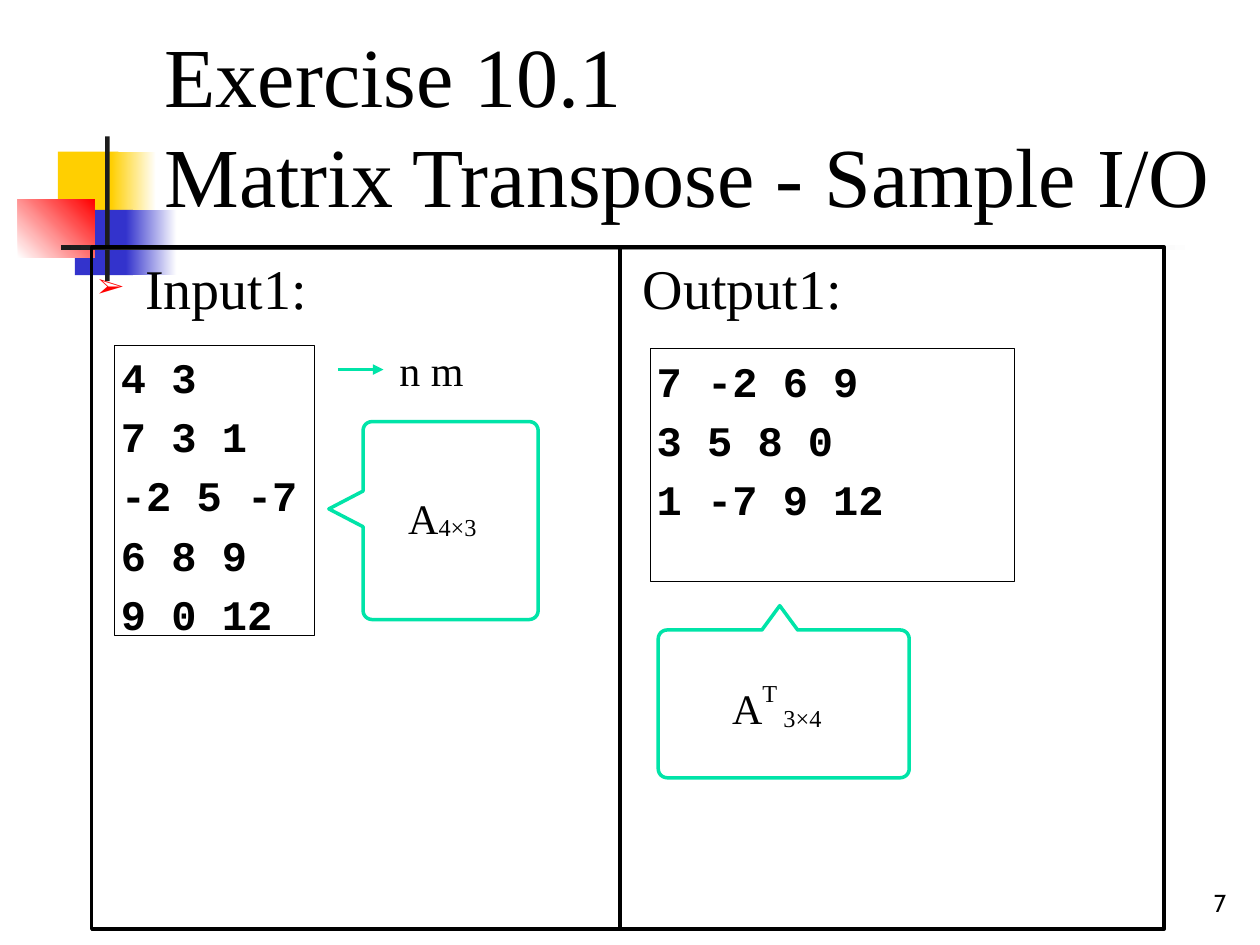
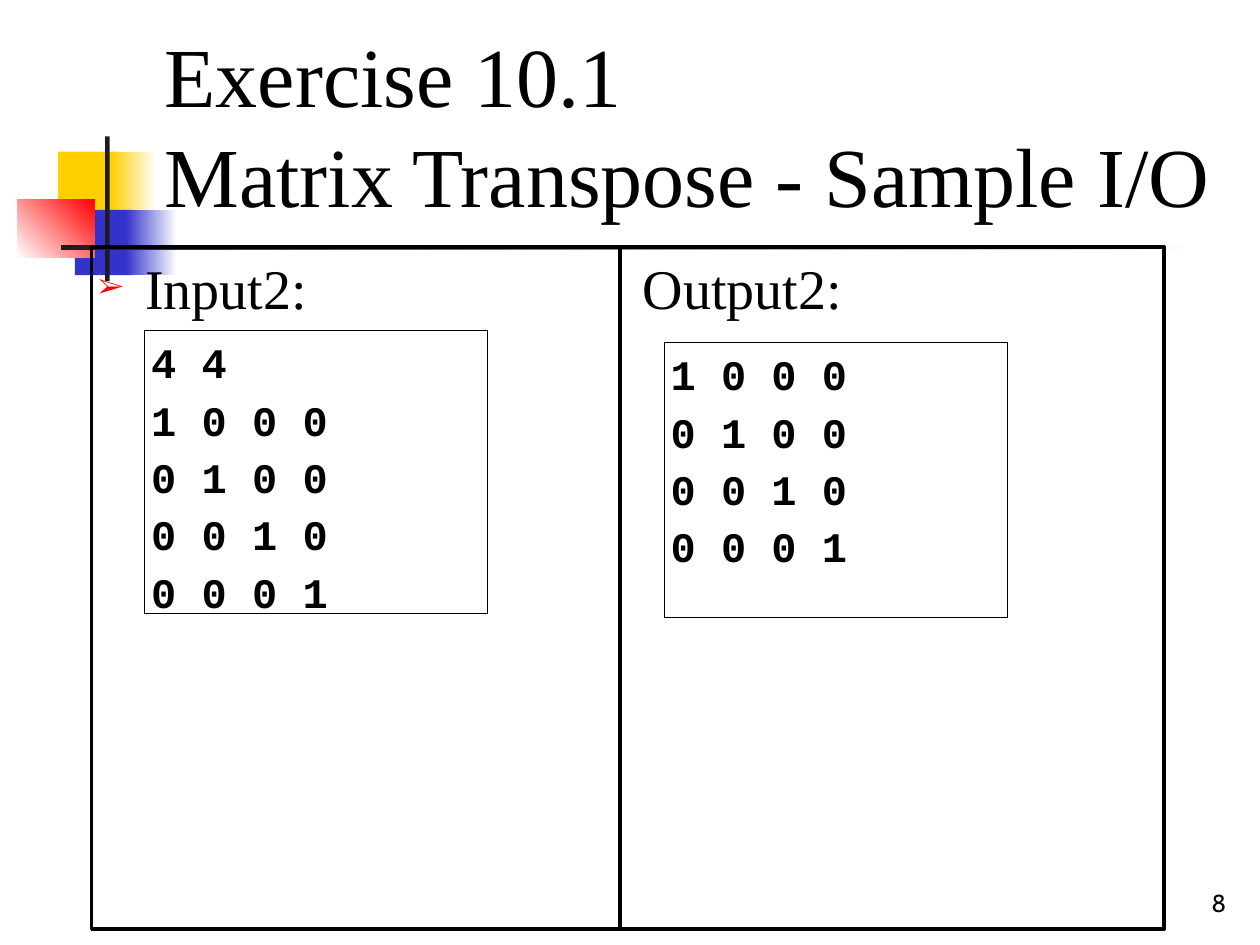
"""Build two slides that show sample input and output for the matrix transpose exercise."""
import math
from dataclasses import dataclass
from typing import NamedTuple, Optional

import lxml.etree
import pptx
import pptx.dml.color
import pptx.enum.shapes
import pptx.enum.text
import pptx.oxml.ns
import pptx.util

Cm = pptx.util.Cm
Pt = pptx.util.Pt
RECTANGLE = pptx.enum.shapes.MSO_SHAPE.RECTANGLE
STRAIGHT = pptx.enum.shapes.MSO_CONNECTOR.STRAIGHT
ALIGN = pptx.enum.text.PP_ALIGN
ANCHOR = pptx.enum.text.MSO_ANCHOR

COLORS = {
    "ink": "000000",
    "paper": "FFFFFF",
    "yellow": "FFCF01",
    "blue": "3333CC",
    "red": "FF0000",
    "charcoal": "1C1C1C",
    "mint": "00E4A8",
}
INSET = 0.13
CORNER_RADIUS = 0.18
CORNER_STEPS = 6
WEDGE_HALF = 0.36


class Box(NamedTuple):
    left: float
    top: float
    width: float
    height: float

    def lengths(self) -> list:
        return [Cm(value) for value in self]


class Style(NamedTuple):
    font: str
    size: float
    bold: bool = False


class Run(NamedTuple):
    text: str
    baseline: int = 0


@dataclass
class Band:
    box: Box
    start: str
    end: Optional[str] = None
    angle: float = 0


@dataclass
class Matrix:
    box: Box
    rows: list[str]


@dataclass
class Label:
    box: Box
    runs: list[Run]


@dataclass
class Callout:
    body: Box
    tip: tuple[float, float]


@dataclass
class Sample:
    exercise: int
    page: int
    row_gap: float
    given: Matrix
    result: Matrix
    callouts: tuple[Callout, ...] = ()
    labels: tuple[Label, ...] = ()
    arrow: Optional[tuple[float, float, float, float]] = None


TITLE = Style("Times New Roman", 48)
HEADING = Style("Times New Roman", 32)
NOTE = Style("Times New Roman", 24)
CODE = Style("Courier New", 24, True)
PAGE = Style("Cabin", 14)

FRAME = Box(1.85, 4.98, 21.62, 13.75)
OUTPUT_HEADING = Box(12.83, 4.98, 8, 1.6)
TITLE_BOX = Box(3.19, 0.6, 21.64, 4.06)
PAGE_BOX = Box(24.29, 17.77, 0.56, 0.86)
DIVIDER = (12.5, 18.74, 12.5, 4.95)
TITLE_LINES = ["Exercise 10.1", "Matrix Transpose - Sample I/O"]

BANDS = [
    Band(Box(1.17, 3.06, 1.22, 1.32), "yellow"),
    Band(Box(2.24, 3.06, 0.91, 1.32), "yellow", "paper"),
    Band(Box(1.51, 4.23, 1.17, 1.32), "blue"),
    Band(Box(2.54, 4.23, 1.02, 1.32), "blue", "paper"),
    Band(Box(0.36, 4.02, 1.55, 1.18), "paper", "red", 45),
    Band(Box(2.12, 2.75, 0.09, 2.92), "charcoal"),
    Band(Box(1.23, 4.94, 22.86, 0.1), "charcoal", "paper"),
]

IDENTITY = ["1 0 0 0", "0 1 0 0", "0 0 1 0", "0 0 0 1"]
SAMPLES = [
    Sample(
        exercise=1,
        page=7,
        row_gap=5,
        given=Matrix(Box(2.31, 6.96, 4.03, 5.85),
                     ["4 3", "7 3 1", "-2 5 -7", "6 8 9", "9 0 12"]),
        result=Matrix(Box(13.11, 7.03, 7.34, 4.69),
                      ["7 -2 6 9", "3 5 8 0", "1 -7 9 12"]),
        callouts=(
            Callout(Box(7.32, 8.5, 3.53, 3.99), (6.63, 10.26)),
            Callout(Box(13.27, 12.7, 5.06, 2.98), (15.72, 12.21)),
        ),
        labels=(
            Label(Box(7.92, 6.82, 1.57, 1.17), [Run("n m")]),
            Label(Box(8.1, 9.79, 1.78, 1.17), [Run("A"), Run("4×3", -6)]),
            Label(Box(14.63, 13.54, 2.26, 1.35),
                  [Run("A"), Run("T", 53), Run(" 3×4", -6)]),
        ),
        arrow=(6.81, 7.45, 7.73, 7.45),
    ),
    Sample(
        exercise=2,
        page=8,
        row_gap=4,
        given=Matrix(Box(2.92, 6.66, 6.91, 5.71), ["4 4", *IDENTITY]),
        result=Matrix(Box(13.39, 6.9, 6.92, 5.55), IDENTITY),
    ),
]


def rgb(color: str) -> pptx.dml.color.RGBColor:
    return pptx.dml.color.RGBColor.from_string(COLORS[color])


def set_outline(shape, color: str, points: float) -> None:
    shape.line.color.rgb = rgb(color)
    shape.line.width = Pt(points)


def write(shape, lines: list[list[Run]], style: Style, before: float = 0,
          wrap: bool = True, align=ALIGN.LEFT, anchor=ANCHOR.TOP) -> None:
    frame = shape.text_frame
    frame.word_wrap = wrap
    frame.vertical_anchor = anchor
    frame.margin_left = frame.margin_right = Cm(INSET)
    frame.margin_top = frame.margin_bottom = Cm(INSET)
    for index, line in enumerate(lines):
        paragraph = frame.add_paragraph() if index else frame.paragraphs[0]
        paragraph.alignment = align
        paragraph.space_before = Pt(before)
        for part in line:
            run = paragraph.add_run()
            run.text = part.text
            run.font.name = style.font
            run.font.size = Pt(style.size)
            run.font.bold = style.bold
            run.font.color.rgb = rgb("ink")
            if part.baseline:
                run.font._element.set("baseline", str(part.baseline * 1000))


def add_bullet(paragraph) -> None:
    properties = paragraph._p.get_or_add_pPr()
    properties.set("marL", str(Cm(0.95)))
    properties.set("indent", str(Cm(-0.95)))
    qn = pptx.oxml.ns.qn
    color = lxml.etree.SubElement(properties, qn("a:buClr"))
    lxml.etree.SubElement(color, qn("a:srgbClr"), val=COLORS["red"])
    lxml.etree.SubElement(properties, qn("a:buSzPct"), val="50000")
    lxml.etree.SubElement(properties, qn("a:buFont"), typeface=HEADING.font)
    lxml.etree.SubElement(properties, qn("a:buChar"), char="➢")


def add_rectangle(slide, box: Box):
    rectangle = slide.shapes.add_shape(RECTANGLE, *box.lengths())
    rectangle.shadow.inherit = False
    return rectangle


def add_band(slide, band: Band) -> None:
    block = add_rectangle(slide, band.box)
    block.line.fill.background()
    if band.end is None:
        block.fill.solid()
        block.fill.fore_color.rgb = rgb(band.start)
        return
    block.fill.gradient()
    block.fill.gradient_angle = band.angle
    for stop, color in zip(block.fill.gradient_stops, (band.start, band.end)):
        stop.color.rgb = rgb(color)


def add_outlined(slide, box: Box, points: float):
    outlined = add_rectangle(slide, box)
    outlined.fill.background()
    set_outline(outlined, "ink", points)
    return outlined


def add_text(slide, box: Box, lines: list[list[Run]], style: Style, **layout) -> None:
    write(slide.shapes.add_textbox(*box.lengths()), lines, style, **layout)


def add_line(slide, ends: tuple[float, float, float, float], color: str,
             arrow: bool = False) -> None:
    line = slide.shapes.add_connector(STRAIGHT, *[Cm(value) for value in ends])
    set_outline(line, color, 2)
    qn = pptx.oxml.ns.qn
    if arrow:
        lxml.etree.SubElement(line.line._get_or_add_ln(), qn("a:tailEnd"), type="triangle")
    lxml.etree.SubElement(line._element.spPr, qn("a:effectLst"))


def callout_points(callout: Callout) -> list[tuple[float, float]]:
    left, top, width, height = callout.body
    tip_x, tip_y = callout.tip
    near_x, far_x = left + CORNER_RADIUS, left + width - CORNER_RADIUS
    near_y, far_y = top + CORNER_RADIUS, top + height - CORNER_RADIUS
    centers = [(near_x, near_y), (far_x, near_y), (far_x, far_y), (near_x, far_y)]
    points = []
    for corner, (x, y) in enumerate(centers):
        for step in range(CORNER_STEPS + 1):
            angle = math.pi + (corner + step / CORNER_STEPS) * math.pi / 2
            points.append((x + CORNER_RADIUS * math.cos(angle),
                           y + CORNER_RADIUS * math.sin(angle)))
        if corner == 0 and tip_y < top:
            points += [(tip_x - WEDGE_HALF, top), callout.tip, (tip_x + WEDGE_HALF, top)]
    if tip_x < left:
        points += [(left, tip_y + WEDGE_HALF), callout.tip, (left, tip_y - WEDGE_HALF)]
    return points


def add_callout(slide, callout: Callout) -> None:
    first, *rest = [(Cm(x), Cm(y)) for x, y in callout_points(callout)]
    builder = slide.shapes.build_freeform(*first)
    builder.add_line_segments(rest, close=True)
    bubble = builder.convert_to_shape()
    bubble.shadow.inherit = False
    bubble.fill.solid()
    bubble.fill.fore_color.rgb = rgb("paper")
    set_outline(bubble, "mint", 2)


def add_matrix(slide, matrix: Matrix, row_gap: float) -> None:
    panel = add_outlined(slide, matrix.box, 0.75)
    write(panel, [[Run(row)] for row in matrix.rows], CODE, before=row_gap)


def add_base(slide, sample: Sample) -> None:
    for band in BANDS:
        add_band(slide, band)
    frame = add_outlined(slide, FRAME, 2)
    write(frame, [[Run(f"Input{sample.exercise}:")]], HEADING, before=7)
    add_bullet(frame.text_frame.paragraphs[0])
    add_text(slide, OUTPUT_HEADING, [[Run(f"Output{sample.exercise}:")]], HEADING, before=7)
    add_text(slide, TITLE_BOX, [[Run(line)] for line in TITLE_LINES], TITLE,
             anchor=ANCHOR.BOTTOM)
    add_text(slide, PAGE_BOX, [[Run(str(sample.page))]], PAGE, wrap=False,
             align=ALIGN.RIGHT, anchor=ANCHOR.BOTTOM)
    add_line(slide, DIVIDER, "ink")


def add_sample(slide, sample: Sample) -> None:
    add_base(slide, sample)
    for callout in sample.callouts:
        add_callout(slide, callout)
    for matrix in (sample.given, sample.result):
        add_matrix(slide, matrix, sample.row_gap)
    if sample.arrow:
        add_line(slide, sample.arrow, "mint", arrow=True)
    for label in sample.labels:
        add_text(slide, label.box, [label.runs], NOTE, wrap=False)


def main() -> None:
    deck = pptx.Presentation()
    deck.slide_width, deck.slide_height = Cm(25.4), Cm(19.05)
    for sample in SAMPLES:
        add_sample(deck.slides.add_slide(deck.slide_layouts[6]), sample)
    deck.save("out.pptx")


if __name__ == "__main__":
    main()
